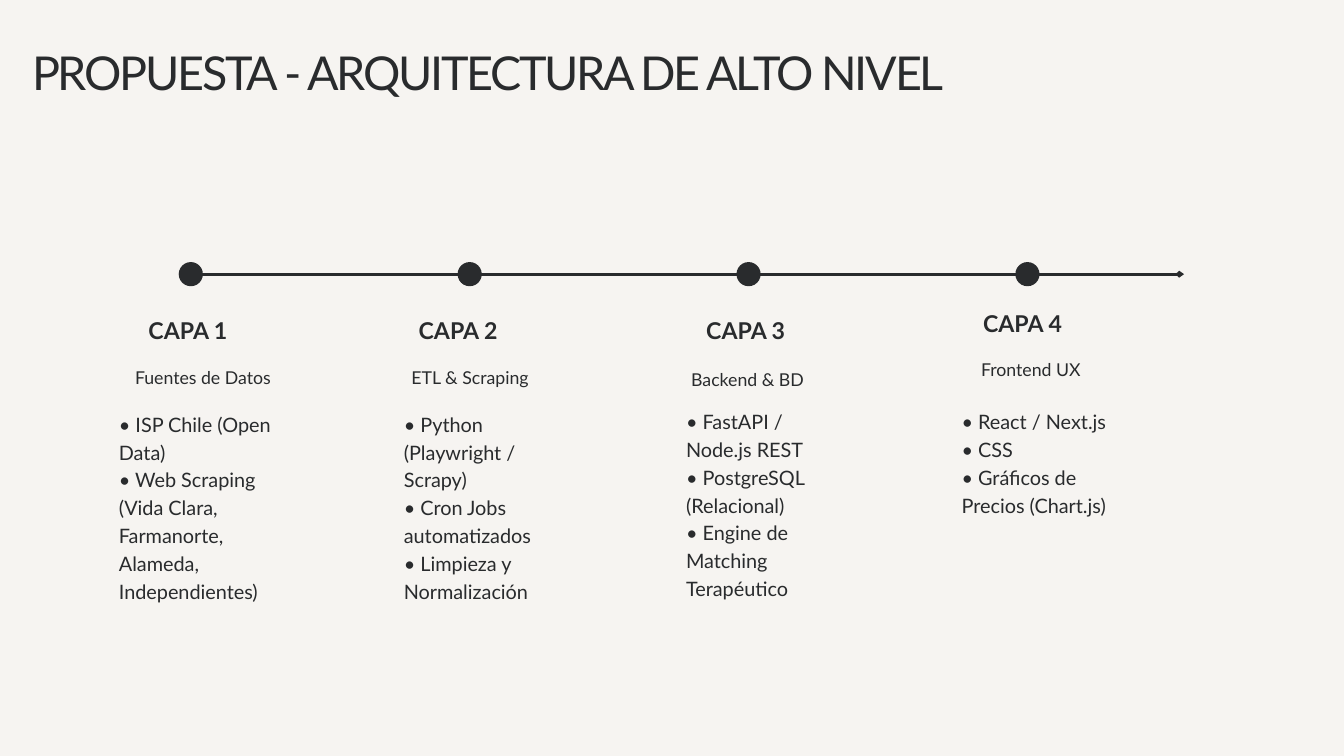
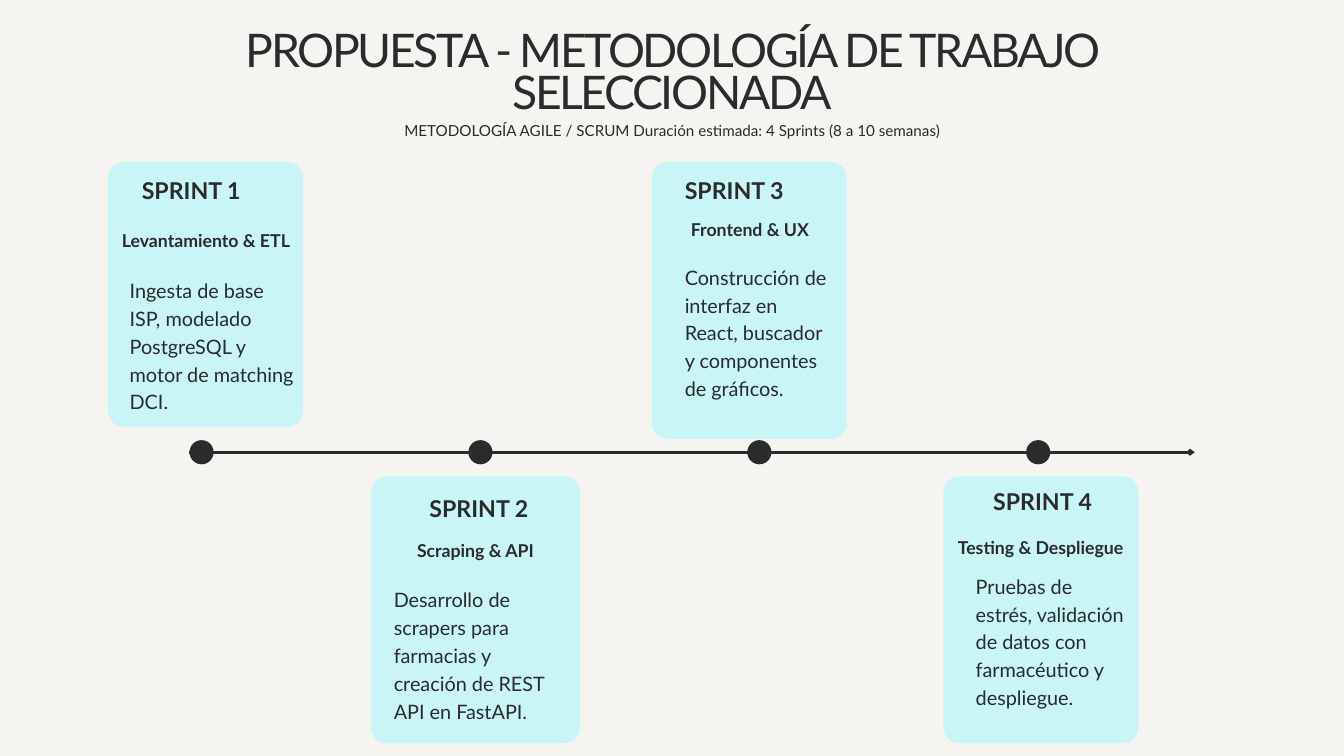
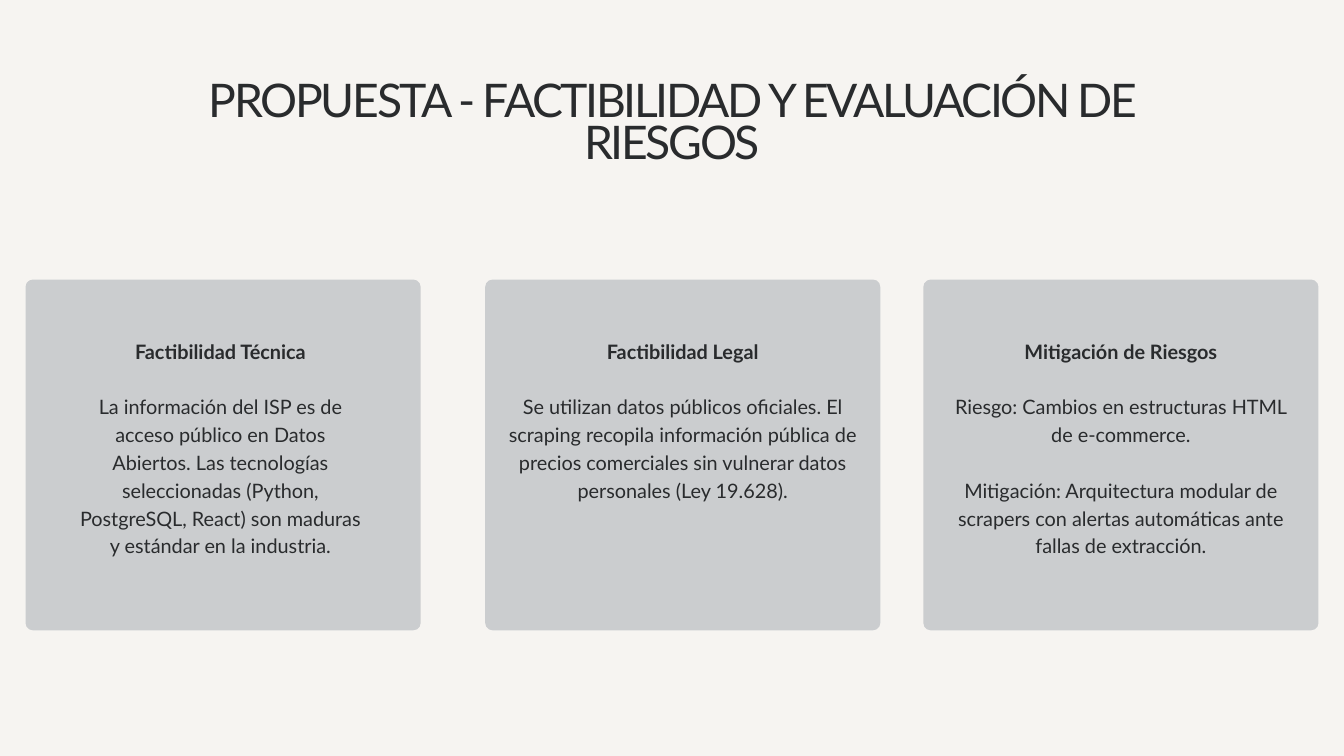
from dataclasses import dataclass

from lxml.etree import SubElement
from pptx import Presentation
from pptx.dml.color import RGBColor
from pptx.enum.shapes import MSO_CONNECTOR, MSO_SHAPE
from pptx.enum.text import PP_ALIGN
from pptx.oxml.ns import qn
from pptx.util import Inches, Pt


@dataclass(frozen=True)
class TextStyle:
    size: float
    leading: float
    bold: bool = False
    align: PP_ALIGN = PP_ALIGN.LEFT
    tracking: float = 0


@dataclass(frozen=True)
class Theme:
    font: str = "Lato"
    paper: RGBColor = RGBColor(0xF6, 0xF4, 0xF1)
    ink: RGBColor = RGBColor(0x29, 0x2B, 0x2D)
    sprint: RGBColor = RGBColor(0xCA, 0xF5, 0xF7)
    card: RGBColor = RGBColor(0xCB, 0xCD, 0xCF)
    title: TextStyle = TextStyle(50, 45, tracking=-2.5)
    title_centred: TextStyle = TextStyle(49.6, 44.6, align=PP_ALIGN.CENTER, tracking=-2.5)
    subtitle: TextStyle = TextStyle(16.3, 22.8, align=PP_ALIGN.CENTER)
    step: TextStyle = TextStyle(24.8, 29.7, bold=True)
    label: TextStyle = TextStyle(19, 26.6, align=PP_ALIGN.CENTER)
    label_bold: TextStyle = TextStyle(19, 26.6, bold=True, align=PP_ALIGN.CENTER)
    body: TextStyle = TextStyle(21.3, 29.8)
    card_text: TextStyle = TextStyle(21.3, 29.8, align=PP_ALIGN.CENTER)


class Deck:
    """Build slides in one theme, drawing on the current slide."""

    def __init__(self, theme):
        self.theme = theme
        self.presentation = Presentation()
        self.presentation.slide_width = Inches(20)
        self.presentation.slide_height = Inches(11.25)
        background = self.presentation.slide_master.background.fill
        background.solid()
        background.fore_color.rgb = theme.paper
        self.slide = None

    def new_slide(self):
        self.slide = self.presentation.slides.add_slide(self.presentation.slide_layouts[6])

    def text(self, box, paragraphs, style, heading=False):
        shape = self.slide.shapes.add_textbox(*map(Inches, box))
        frame = shape.text_frame
        frame.word_wrap = True
        frame.margin_left = frame.margin_right = frame.margin_top = frame.margin_bottom = 0
        frame.text = "\n".join(paragraphs)
        for index, paragraph in enumerate(frame.paragraphs):
            paragraph.alignment = style.align
            paragraph.line_spacing = Pt(style.leading)
            if heading and index:
                paragraph.space_before = Pt(style.leading)
            for run in paragraph.runs:
                run.font.name = self.theme.font
                run.font.size = Pt(style.size)
                run.font.bold = style.bold or (heading and index == 0)
                run.font.color.rgb = self.theme.ink
                if style.tracking:
                    run.font._element.set("spc", str(round(style.tracking * 100)))

    def shape(self, kind, box, color):
        shape = self.slide.shapes.add_shape(kind, *map(Inches, box))
        shape.shadow.inherit = False
        shape.fill.solid()
        shape.fill.fore_color.rgb = color
        shape.line.fill.background()
        return shape

    def panel(self, box, color, radius):
        panel = self.shape(MSO_SHAPE.ROUNDED_RECTANGLE, box, color)
        panel.adjustments[0] = radius / min(box[2:])

    def timeline(self, left, middle, steps=4, gap=4.15, dot=0.36, length=14.96):
        line = self.slide.shapes.add_connector(
            MSO_CONNECTOR.STRAIGHT,
            Inches(left), Inches(middle), Inches(left + length), Inches(middle))
        line.line.color.rgb = self.theme.ink
        line.line.width = Pt(3)
        SubElement(line.line._get_or_add_ln(), qn("a:tailEnd"), type="arrow", w="sm", len="sm")
        SubElement(line._element.spPr, qn("a:effectLst"))
        for step in range(steps):
            box = (left + step * gap, middle - dot / 2, dot, dot)
            self.shape(MSO_SHAPE.OVAL, box, self.theme.ink)


LAYERS = [
    ("CAPA 1", (2.21, 4.71), "Fuentes de Datos", (1.9, 5.4, 2.24), (1.77, 6.08, 2.5, 2.84),
     ["• ISP Chile (Open Data)",
      "• Web Scraping (Vida Clara, Farmanorte, Alameda, Independientes)"]),
    ("CAPA 2", (6.23, 4.71), "ETL & Scraping", (6.01, 5.4, 1.97), (6.01, 6.08, 2.59, 2.84),
     ["• Python (Playwright / Scrapy)", "• Cron Jobs automatizados",
      "• Limpieza y Normalización"]),
    ("CAPA 3", (10.51, 4.71), "Backend & BD", (10.21, 5.43, 1.83), (10.21, 6.04, 2.24, 2.84),
     ["• FastAPI / Node.js REST", "• PostgreSQL (Relacional)",
      "• Engine de Matching Terapéutico"]),
    ("CAPA 4", (14.63, 4.6), "Frontend UX", (14.54, 5.29, 1.6), (14.31, 6.04, 2.24, 2.03),
     ["• React / Next.js", "• CSS", "• Gráficos de Precios (Chart.js)"]),
]

SPRINT_PANELS = [
    (1.61, 2.41, 2.9, 3.94),
    (5.52, 7.09, 3.11, 3.97),
    (9.7, 2.41, 2.9, 4.12),
    (14.04, 7.09, 2.9, 3.97),
]

SPRINTS = [
    ("SPRINT 1", (2.11, 2.63), "Levantamiento & ETL", (1.67, 3.37, 2.79),
     (1.93, 4.09, 2.5, 2.03),
     ["Ingesta de base ISP, modelado PostgreSQL y motor de matching DCI."]),
    ("SPRINT 2", (6.39, 7.36), "Scraping & API", (6.08, 7.98, 1.99),
     (5.86, 8.69, 2.59, 2.03),
     ["Desarrollo de scrapers para farmacias y creación de REST API en FastAPI."]),
    ("SPRINT 3", (10.19, 2.62), "Frontend & UX", (10.19, 3.21, 1.94),
     (10.19, 3.89, 2.24, 2.43),
     ["Construcción de interfaz en React, buscador y componentes de gráficos."]),
    ("SPRINT 4", (14.78, 7.25), "Testing & Despliegue", (14.09, 7.94, 2.79),
     (14.52, 8.49, 2.24, 2.43),
     ["Pruebas de estrés, validación de datos con farmacéutico y despliegue."]),
]

CARDS = [
    (0.38, (1.12, 4.99, 4.32, 3.65),
     ["Factibilidad Técnica",
      "La información del ISP es de acceso público en Datos Abiertos. Las tecnologías "
      "seleccionadas (Python, PostgreSQL, React) son maduras y estándar en la industria."]),
    (7.22, (7.43, 4.99, 5.46, 2.43),
     ["Factibilidad Legal",
      "Se utilizan datos públicos oficiales. El scraping recopila información pública de "
      "precios comerciales sin vulnerar datos personales (Ley 19.628)."]),
    (13.74, (14.21, 4.99, 4.94, 3.65),
     ["Mitigación de Riesgos",
      "Riesgo: Cambios en estructuras HTML de e-commerce.",
      "Mitigación: Arquitectura modular de scrapers con alertas automáticas ante fallas "
      "de extracción."]),
]


def add_steps(deck, steps, label_style):
    for name, name_corner, label, label_place, body_box, body in steps:
        deck.text((*name_corner, 2.24, 0.42), [name], deck.theme.step)
        deck.text((*label_place, 0.36), [label], label_style)
        deck.text(body_box, body, deck.theme.body)


def add_architecture(deck):
    deck.new_slide()
    deck.text((0.48, 0.86, 16.24, 0.68), ["PROPUESTA - ARQUITECTURA DE ALTO NIVEL"],
              deck.theme.title)
    deck.timeline(2.66, 4.08)
    add_steps(deck, LAYERS, deck.theme.label)


def add_methodology(deck):
    deck.new_slide()
    for box in SPRINT_PANELS:
        deck.panel(box, deck.theme.sprint, 0.23)
    deck.text((1.83, 0.53, 16.34, 1.28), ["PROPUESTA - METODOLOGÍA DE TRABAJO SELECCIONADA"],
              deck.theme.title_centred)
    deck.text((5.7, 1.76, 8.61, 0.32),
              ["METODOLOGÍA AGILE / SCRUM Duración estimada: 4 Sprints (8 a 10 semanas)"],
              deck.theme.subtitle)
    deck.timeline(2.82, 6.73)
    add_steps(deck, SPRINTS, deck.theme.label_bold)


def add_feasibility(deck):
    deck.new_slide()
    deck.text((1.83, 1.27, 16.34, 2.5), ["PROPUESTA - FACTIBILIDAD Y EVALUACIÓN DE RIESGOS"],
              deck.theme.title_centred)
    for left, text_box, paragraphs in CARDS:
        deck.panel((left, 4.16, 5.88, 5.22), deck.theme.card, 0.11)
        deck.text(text_box, paragraphs, deck.theme.card_text, heading=True)


def main():
    deck = Deck(Theme())
    add_architecture(deck)
    add_methodology(deck)
    add_feasibility(deck)
    deck.presentation.save("out.pptx")


if __name__ == "__main__":
    main()
